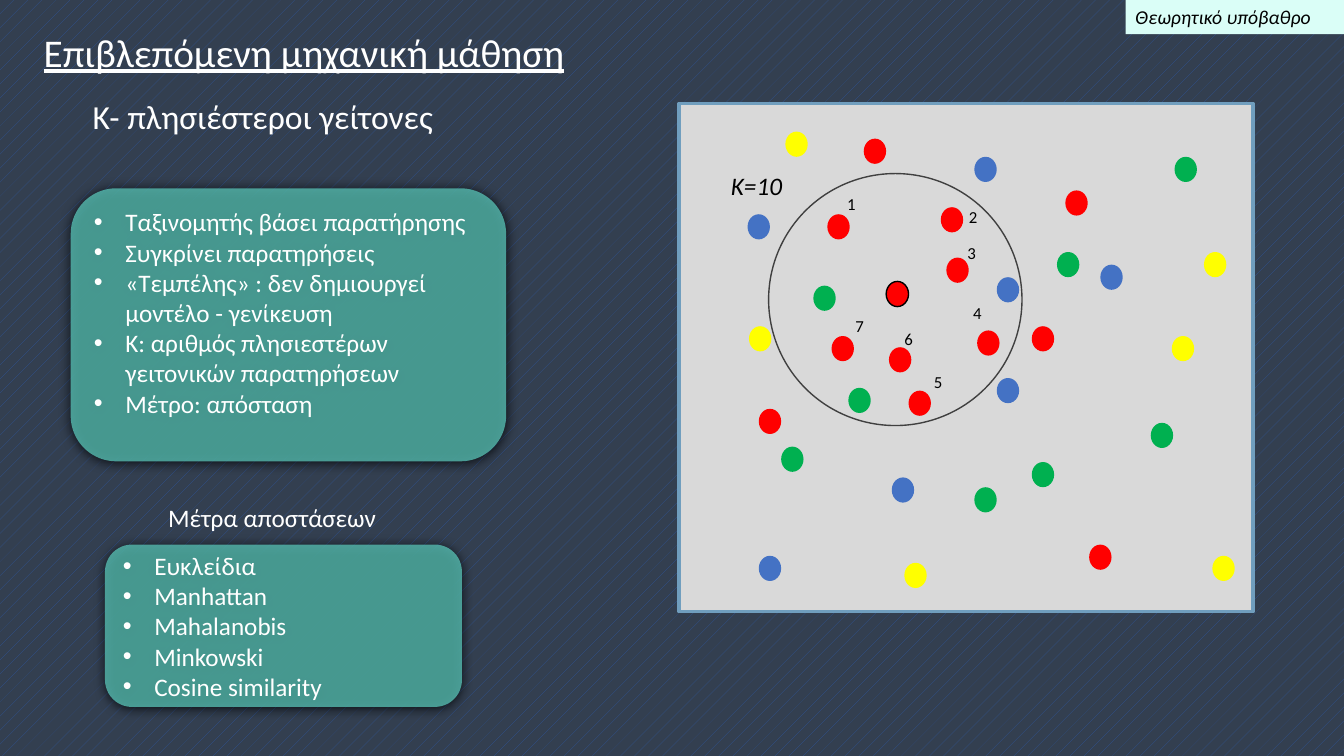
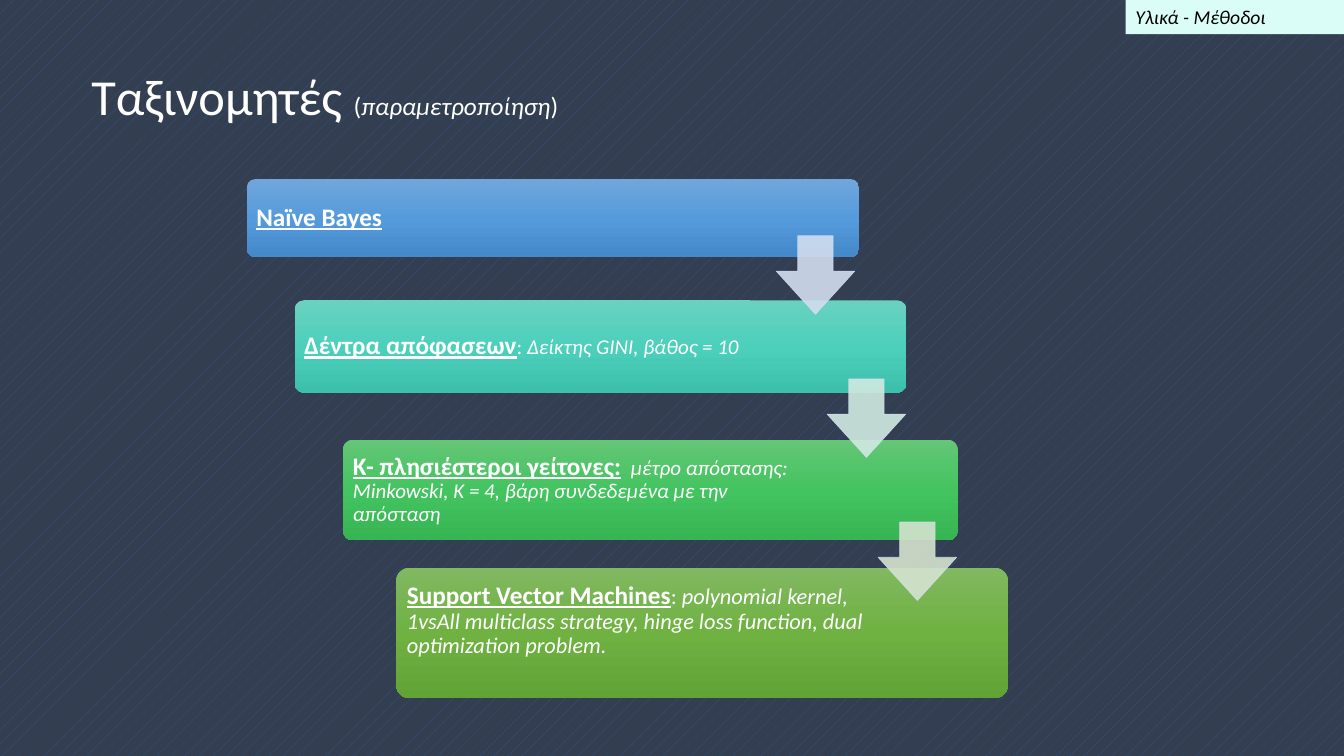
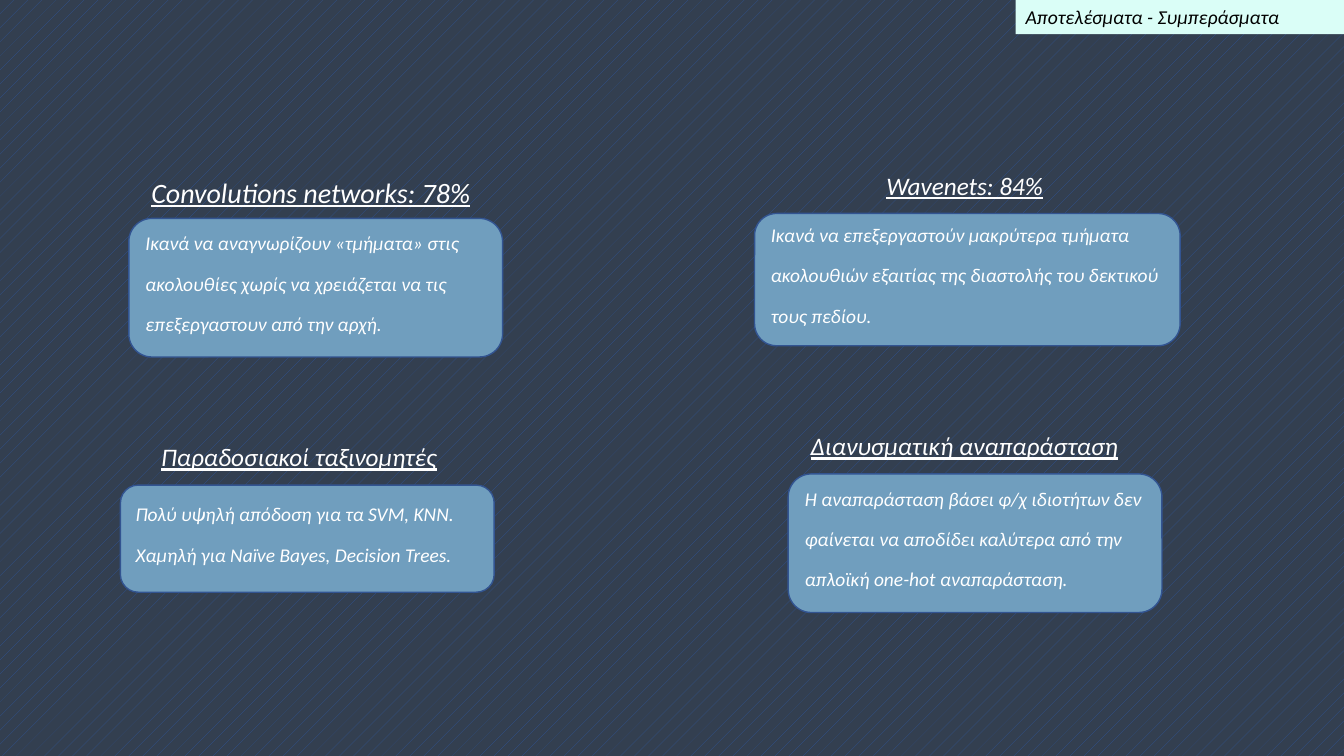
import copy
from typing import NamedTuple

import lxml.etree
import pptx
import pptx.dml.color
import pptx.enum.dml
import pptx.enum.shapes
import pptx.enum.text
import pptx.oxml.ns
import pptx.util

Pt = pptx.util.Pt
qn = pptx.oxml.ns.qn
SHAPE = pptx.enum.shapes.MSO_SHAPE
ANCHOR = pptx.enum.text.MSO_ANCHOR

SLIDE_WIDTH, SLIDE_HEIGHT = 960, 540
TITLE_ONLY, BLANK = 5, 6
FONT = "Calibri"
COLOURS = {
    "ground": "333F50", "stripe": "2F5597", "white": "FFFFFF", "black": "000000",
    "tag": "DAFEF7", "teal": "5AC6B9", "steel": "709EBE", "navy": "325491",
    "plot": "D9D9D9", "ring": "404040", "arrow_edge": "D2DEEF",
    "blue": "4472C4", "red": "FF0000", "green": "00B050", "yellow": "FFFF00",
}

ITALIC = {"italic": True}
UNDERLINED = {"underline": True}
HEADING = {"italic": True, "underline": True}
METHOD = {"size": Pt(18), "bold": True, "underline": True}


class Box(NamedTuple):
    left: float
    top: float
    width: float
    height: float

    def inner(self, left, top, width, height):
        """Box placed relative to this one's top left corner."""
        return Box(self.left + left, self.top + top, width, height)

    def lengths(self):
        return [Pt(value) for value in self]


def rgb(colour):
    return pptx.dml.color.RGBColor.from_string(COLOURS.get(colour, colour))


def write(paragraph, runs, size, colour="white"):
    """Add (text, format) runs; each format overrides the common size."""
    for text, formats in runs:
        run = paragraph.add_run()
        run.text = text
        run.font.color.rgb = rgb(colour)
        for key, value in {"name": FONT, "size": Pt(size), **formats}.items():
            setattr(run.font, key, value)
    paragraph.alignment = pptx.enum.text.PP_ALIGN.LEFT


def add_label(slide, box, text, size, formats=None, colour="white"):
    frame = slide.shapes.add_textbox(*box.lengths()).text_frame
    frame.word_wrap = True
    write(frame.paragraphs[0], [(text, formats or {})], size, colour)


def add_block(slide, kind, box, fill=None, line=None, line_width=1, adjustments=()):
    block = slide.shapes.add_shape(kind, *box.lengths())
    block.shadow.inherit = False
    for index, value in enumerate(adjustments):
        block.adjustments[index] = value
    if fill:
        block.fill.solid()
        block.fill.fore_color.rgb = rgb(fill)
    else:
        block.fill.background()
    if line:
        block.line.color.rgb = rgb(line)
        block.line.width = Pt(line_width)
    else:
        block.line.fill.background()
    return block


def set_opacity(block, percent):
    for colour in block._element.spPr.iter(qn("a:srgbClr")):
        lxml.etree.SubElement(colour, qn("a:alpha"), val=str(percent * 1000))


def add_dark_halo(block):
    effects = block._element.spPr.find(qn("a:effectLst"))
    halo = lxml.etree.SubElement(
        effects, qn("a:outerShdw"), blurRad=str(Pt(8.5)), dist=str(Pt(1)),
        dir="5400000", algn="t", rotWithShape="0")
    lxml.etree.SubElement(halo, qn("a:srgbClr"), val=COLOURS["black"])


def fill_downwards(block, colours):
    """Vertical gradient through three colours."""
    block.fill.gradient()
    block.fill.gradient_angle = 270
    stop_list = block._element.spPr.find(".//" + qn("a:gsLst"))
    stop_list.append(copy.deepcopy(stop_list[-1]))
    for stop, position, colour in zip(block.fill.gradient_stops, (0, 0.5, 1), colours):
        stop.position = position
        stop.color.rgb = rgb(colour)


def new_slide(prs, layout, section, tag_width):
    slide = prs.slides.add_slide(prs.slide_layouts[layout])
    ground = slide.background.fill
    ground.patterned()
    ground.pattern = pptx.enum.dml.MSO_PATTERN.PERCENT_5
    ground.fore_color.rgb = rgb("stripe")
    ground.back_color.rgb = rgb("ground")
    tag_box = Box(SLIDE_WIDTH - tag_width, 0, tag_width, 24.5)
    tag = add_block(slide, SHAPE.RECTANGLE, tag_box, "tag")
    write(tag.text_frame.paragraphs[0], [(section, ITALIC)], 14, "black")
    return slide


def set_title(slide, box, runs, size):
    title = slide.shapes.title
    title.left, title.top, title.width, title.height = box.lengths()
    frame = title.text_frame
    frame.word_wrap = True
    frame.auto_size = pptx.enum.text.MSO_AUTO_SIZE.NONE
    frame.vertical_anchor = ANCHOR.TOP
    write(frame.paragraphs[0], runs, size)


def bullet_panel(slide, box, items, anchor):
    panel = add_block(slide, SHAPE.ROUNDED_RECTANGLE, box, "teal")
    set_opacity(panel, 75)
    add_dark_halo(panel)
    frame = panel.text_frame
    frame.vertical_anchor = anchor
    for index, item in enumerate(items):
        paragraph = frame.add_paragraph() if index else frame.paragraphs[0]
        write(paragraph, [(item, {})], 18)
        properties = paragraph._p.get_or_add_pPr()
        properties.set("marL", str(Pt(22.5)))
        properties.set("indent", str(-Pt(22.5)))
        lxml.etree.SubElement(properties, qn("a:buFont"), typeface="Arial")
        lxml.etree.SubElement(properties, qn("a:buChar"), char="•")


OBSERVATIONS = {
    "blue": [(49, 79), (152, 267), (57, 323), (227, 124), (301, 115), (227, 196),
             (211, 38)],
    "red": [(106, 79), (293, 315), (276, 62), (132, 25), (252, 159), (57, 218),
            (187, 74), (109, 166), (164, 205), (213, 162), (150, 174), (191, 110)],
    "green": [(96, 130), (211, 274), (270, 106), (337, 228), (354, 38), (121, 203),
              (252, 256), (73, 245)],
    "yellow": [(76, 20), (50, 159), (375, 106), (381, 323), (161, 328), (352, 166)],
}
NEIGHBOUR_NUMBERS = [(113, 61), (200, 70), (199, 96), (203, 139), (175, 188),
                     (154, 157), (119, 148)]


def neighbour_plot(slide, box):
    add_block(slide, SHAPE.RECTANGLE, box, "plot", "steel", 2.5)
    for colour, places in OBSERVATIONS.items():
        for left, top in places:
            add_block(slide, SHAPE.OVAL, box.inner(left, top, 16, 18), colour)
    add_block(slide, SHAPE.OVAL, box.inner(148, 127, 16, 18), "red", "black")
    add_block(slide, SHAPE.OVAL, box.inner(64, 50, 181, 180), line="ring")
    for number, (left, top) in enumerate(NEIGHBOUR_NUMBERS, 1):
        add_label(slide, box.inner(left, top, 22, 22), str(number), 12, colour="black")
    add_label(slide, box.inner(30, 44, 60, 29), "Κ=10", 18, ITALIC, "black")


def neighbours_slide(prs):
    slide = new_slide(prs, TITLE_ONLY, "Θεωρητικό υπόβαθρο", 156)
    set_title(slide, Box(24, 16.5, 394, 41),
              [("Επιβλεπόμενη μηχανική μάθηση", UNDERLINED)], 28)
    add_label(slide, Box(59, 65, 309, 36), "K- πλησιέστεροι γείτονες", 24)
    neighbour_plot(slide, Box(485, 74, 410, 363))
    bullet_panel(slide, Box(50.5, 134.5, 311, 195), [
        "Ταξινομητής βάσει παρατήρησης",
        "Συγκρίνει παρατηρήσεις",
        "«Τεμπέλης» : δεν δημιουργεί μοντέλο - γενίκευση",
        "Κ: αριθμός πλησιεστέρων γειτονικών παρατηρήσεων",
        "Μέτρο: απόσταση",
    ], ANCHOR.TOP)
    add_label(slide, Box(113, 355, 197, 29), "Μέτρα αποστάσεων", 18)
    bullet_panel(slide, Box(75, 389, 255, 116), [
        "Ευκλείδια", "Manhattan", "Mahalanobis", "Minkowski", "Cosine similarity",
    ], ANCHOR.MIDDLE)


CLASSIFIERS = [
    (Box(176.5, 128, 437, 55.5), ("71A6DB", "559BDB", "448ACA"),
     [("Naïve Bayes", METHOD)], 15),
    (Box(210.5, 214.5, 437, 66), ("6AD1C0", "4CD0BC", "3CC0AC"),
     [("Δέντρα απόφασεων", METHOD), (": ", {}),
      ("Δείκτης GINI, βάθος = 10", ITALIC)], 15),
    (Box(245, 314, 439, 72), ("64C677", "44C460", "36B552"),
     [("Κ- πλησιέστεροι γείτονες:", METHOD), ("  ", {}),
      ("μέτρο απόστασης: Minkowski, Κ = 4, βάρη συνδεδεμένα με την απόσταση",
       ITALIC)], 15),
    (Box(283, 405.5, 437, 93), ("81B861", "6FB242", "62A336"),
     [("Support Vector Machines", METHOD), (": ", {}),
      ("polynomial kernel, 1vsAll multiclass strategy, hinge loss function, "
       "dual optimization problem.", ITALIC)], 16),
]
ARROW_FILLS = ["D2DEEF", "D0EAE1", "D5E3CF"]


def classifier_step(slide, box, colours, runs, size):
    step = add_block(slide, SHAPE.ROUNDED_RECTANGLE, box, adjustments=[0.1])
    fill_downwards(step, colours)
    frame = step.text_frame
    margins = {"margin_left": 5, "margin_top": 5, "margin_right": 98, "margin_bottom": 5}
    for side, value in margins.items():
        setattr(frame, side, Pt(value))
    frame.vertical_anchor = ANCHOR.MIDDLE
    write(frame.paragraphs[0], runs, size)
    frame.paragraphs[0].line_spacing = 0.9
    return frame


def classifiers_slide(prs):
    slide = new_slide(prs, TITLE_ONLY, "Υλικά - Μέθοδοι", 156)
    small = {"size": Pt(18)}
    set_title(slide, Box(58, 43, 422, 51), [
        ("Ταξινομητές ", {}), ("(", small),
        ("παραμετροποίηση", {**small, **ITALIC}), (")", small)], 36)
    for classifier in CLASSIFIERS:
        last_frame = classifier_step(slide, *classifier)
    last_frame.vertical_anchor = ANCHOR.TOP
    last_frame.margin_top = Pt(8)
    first_arrow = Box(554.5, 168.5, 56, 56)
    for index, fill in enumerate(ARROW_FILLS):
        box = first_arrow.inner(index * 36.4, index * 102.2, 56, 56)
        arrow = add_block(slide, SHAPE.DOWN_ARROW, box, fill, "arrow_edge", 0.5)
        arrow.adjustments[0], arrow.adjustments[1] = 0.45, 0.55
        set_opacity(arrow, 90)


FINDINGS = [
    (Box(92, 156, 267, 99), 9, 20, "Convolutions networks: 78%",
     "Ικανά να αναγνωρίζουν «τμήματα» στις ακολουθίες χωρίς να χρειάζεται να τις "
     "επεξεργαστουν από την αρχή."),
    (Box(539, 152.5, 304, 94.5), 87, 18, "Wavenets: 84%",
     "Ικανά να επεξεργαστούν μακρύτερα τμήματα ακολουθιών εξαιτίας της διαστολής "
     "του δεκτικού τους πεδίου."),
    (Box(86, 346.5, 267, 76.5), 22, 18, "Παραδοσιακοί ταξινομητές",
     "Πολύ υψηλή απόδοση για τα SVM, ΚΝΝ. Χαμηλή για Naïve Bayes, Decision Trees."),
    (Box(563, 338.5, 267, 99), 9, 18, "Διανυσματική αναπαράσταση",
     "Η αναπαράσταση βάσει φ/χ ιδιοτήτων δεν φαίνεται να αποδίδει καλύτερα από την "
     "απλοϊκή one-hot αναπαράσταση."),
]


def finding_card(slide, box, heading_left, heading_size, heading, finding):
    heading_box = box.inner(heading_left, -34.5, box.width - heading_left, 30)
    add_label(slide, heading_box, heading, heading_size, HEADING)
    card = add_block(slide, SHAPE.ROUNDED_RECTANGLE, box, "steel", "navy")
    card.text_frame.vertical_anchor = ANCHOR.MIDDLE
    paragraph = card.text_frame.paragraphs[0]
    write(paragraph, [(finding, ITALIC)], 24)
    paragraph.runs[0]._r.get_or_add_rPr().set("baseline", "30000")


def findings_slide(prs):
    slide = new_slide(prs, BLANK, "Αποτελέσματα - Συμπεράσματα", 234.5)
    for finding in FINDINGS:
        finding_card(slide, *finding)


def main():
    prs = pptx.Presentation()
    prs.slide_width, prs.slide_height = Pt(SLIDE_WIDTH), Pt(SLIDE_HEIGHT)
    neighbours_slide(prs)
    classifiers_slide(prs)
    findings_slide(prs)
    prs.save("out.pptx")


if __name__ == "__main__":
    main()
